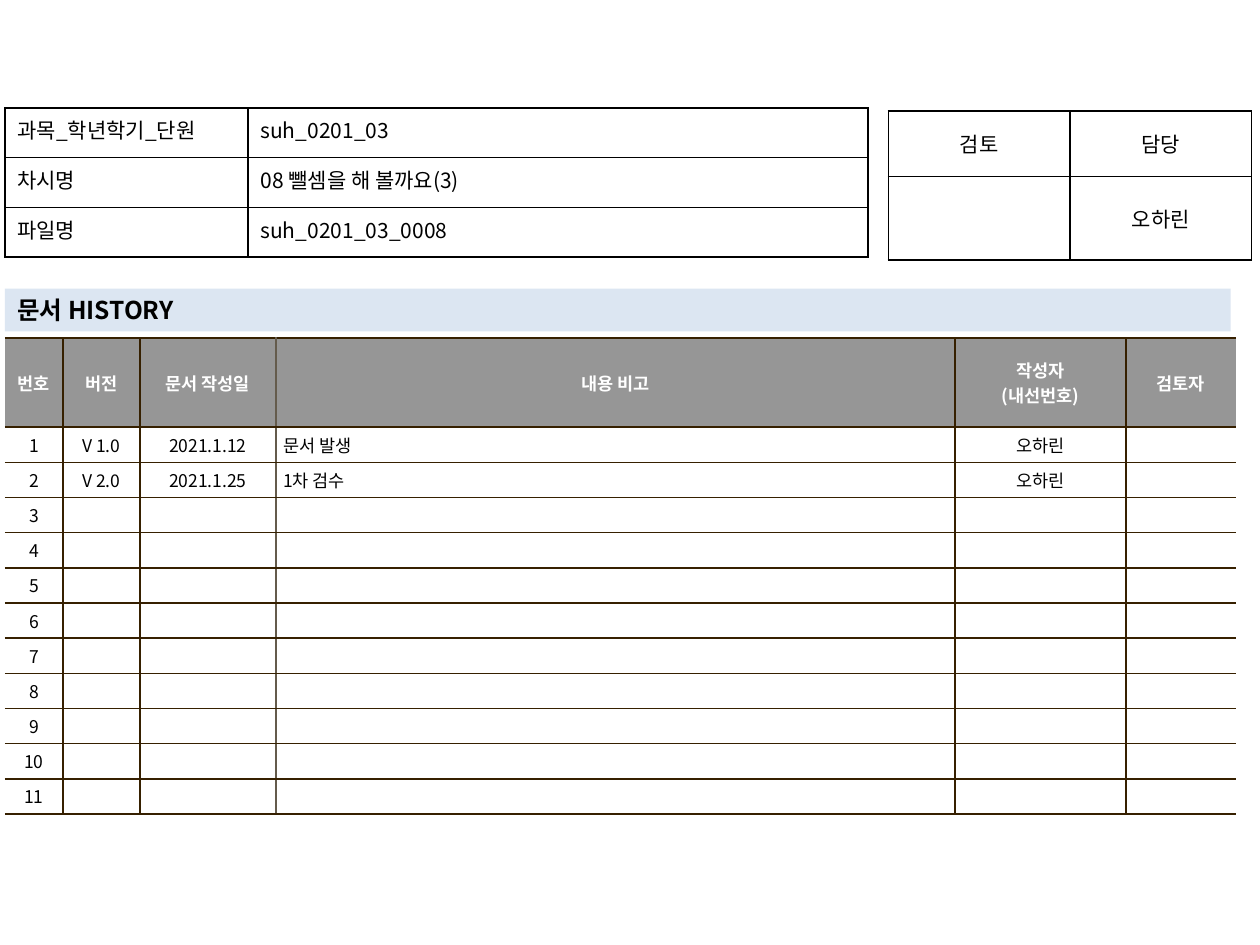
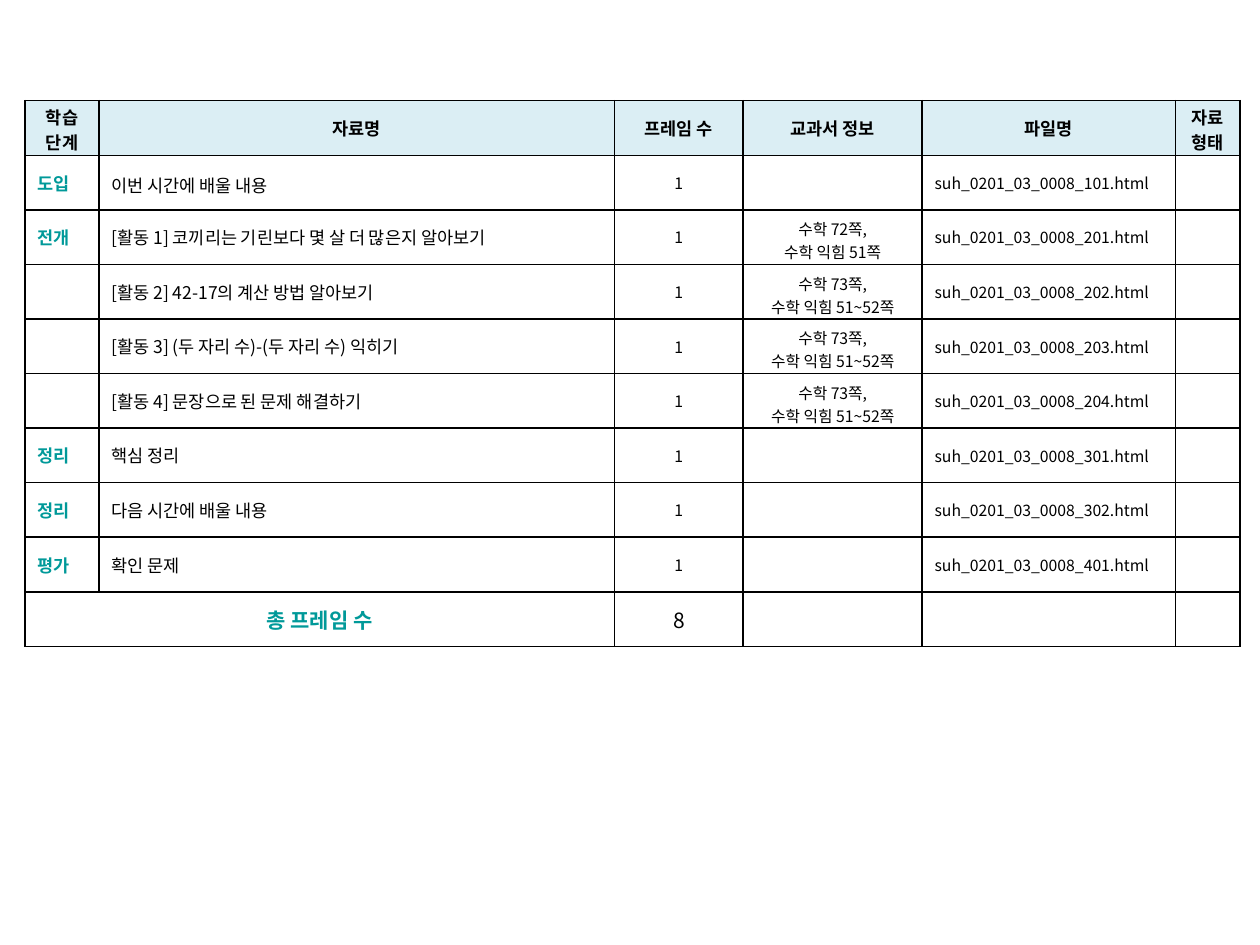
from dataclasses import dataclass
from typing import Optional

from lxml.etree import SubElement
from pptx import Presentation
from pptx.dml.color import RGBColor
from pptx.enum.shapes import MSO_SHAPE
from pptx.enum.text import MSO_ANCHOR, PP_ALIGN
from pptx.oxml.ns import qn
from pptx.util import Cm, Pt

FONT = "Noto Sans CJK KR"
COLORS = {
    "black": "000000",
    "white": "FFFFFF",
    "teal": "009999",
    "heading band": "DCE6F2",
    "history header": "969696",
    "history line": "362000",
    "history soft line": "645B4C",
    "contents header": "DBEEF4",
}
LEFT, CENTER, JUSTIFY = PP_ALIGN.LEFT, PP_ALIGN.CENTER, PP_ALIGN.JUSTIFY


@dataclass(frozen=True)
class CellStyle:
    size: float = 12
    color: str = "black"
    bold: bool = False
    align: PP_ALIGN = CENTER
    fill: Optional[str] = None
    line_spacing: Optional[float] = None
    # Inner margins in centimetres: side, top, bottom
    margins: tuple[float, float, float] = (0.25, 0.13, 0.13)
    anchor: MSO_ANCHOR = MSO_ANCHOR.MIDDLE


@dataclass(frozen=True)
class TableBox:
    left: float
    top: float
    columns: list[float]
    rows: list[float]
    line: str = "black"
    open_sides: bool = False
    soft_line_after: Optional[int] = None


def rgb(name: str) -> RGBColor:
    return RGBColor.from_string(COLORS[name])


def write_text(text_frame, text: str, *, size: float, color: str = "black",
               bold: bool = False, align: PP_ALIGN = LEFT,
               line_spacing: Optional[float] = None) -> None:
    """Write one paragraph for each line of the text."""
    for index, line in enumerate(text.split("\n")):
        paragraph = text_frame.paragraphs[0] if index == 0 else text_frame.add_paragraph()
        paragraph.alignment = align
        if line_spacing:
            paragraph.line_spacing = line_spacing
        if not line:
            # An empty cell must not be taller than its neighbours
            paragraph._p.get_or_add_endParaRPr().set("sz", str(int(size * 100)))
            continue
        run = paragraph.add_run()
        run.text = line
        run.font.size = Pt(size)
        run.font.bold = bold
        run.font.color.rgb = rgb(color)
        run.font.name = FONT
        SubElement(run.font._element, qn("a:ea"), typeface=FONT)


def set_borders(cell, sides: dict[str, Optional[str]]) -> None:
    properties = cell._tc.get_or_add_tcPr()
    for side, color in sides.items():
        line = SubElement(properties, qn(f"a:ln{side}"), w=str(Pt(1)))
        if color is None:
            SubElement(line, qn("a:noFill"))
        else:
            fill = SubElement(line, qn("a:solidFill"))
            SubElement(fill, qn("a:srgbClr"), val=COLORS[color])


def draw_table(slide, box: TableBox, texts: list[list[str]],
               styles: list[list[CellStyle]]):
    row_count, column_count = len(box.rows), len(box.columns)
    table = slide.shapes.add_table(
        row_count, column_count, Cm(box.left), Cm(box.top),
        Cm(sum(box.columns)), Cm(sum(box.rows))).table
    table.first_row = table.horz_banding = False
    for column, width in zip(table.columns, box.columns):
        column.width = Cm(width)
    for row, height in zip(table.rows, box.rows):
        row.height = Cm(height)

    # Colours of the vertical lines, from left edge to right edge
    verticals: list[Optional[str]] = [box.line] * (column_count + 1)
    if box.open_sides:
        verticals[0] = verticals[-1] = None
    if box.soft_line_after:
        verticals[box.soft_line_after] = "history soft line"

    for row_index, (row_texts, row_styles) in enumerate(zip(texts, styles)):
        for column_index, (text, style) in enumerate(zip(row_texts, row_styles)):
            cell = table.cell(row_index, column_index)
            set_borders(cell, {"L": verticals[column_index],
                               "R": verticals[column_index + 1],
                               "T": box.line, "B": box.line})
            if style.fill:
                cell.fill.solid()
                cell.fill.fore_color.rgb = rgb(style.fill)
            else:
                cell.fill.background()
            side, top, bottom = style.margins
            cell.margin_left = cell.margin_right = Cm(side)
            cell.margin_top, cell.margin_bottom = Cm(top), Cm(bottom)
            cell.vertical_anchor = style.anchor
            write_text(cell.text_frame, text, size=style.size, color=style.color,
                       bold=style.bold, align=style.align,
                       line_spacing=style.line_spacing)
    return table


def draw_heading(slide, text: str) -> None:
    shape = slide.shapes.add_shape(MSO_SHAPE.RECTANGLE, Cm(0.1), Cm(5.82),
                                   Cm(24.71), Cm(0.86))
    shape.shadow.inherit = False
    shape.fill.solid()
    shape.fill.fore_color.rgb = rgb("heading band")
    shape.line.fill.background()
    shape.text_frame.word_wrap = True
    shape.text_frame.vertical_anchor = MSO_ANCHOR.MIDDLE
    write_text(shape.text_frame, text, size=14, bold=True)


def build_history_slide(slide) -> None:
    # Change log
    tight = (0.15, 0.1, 0.1)
    header = CellStyle(10, "white", True, fill="history header", margins=tight)
    body = CellStyle(10, fill="white", margins=tight)
    note = CellStyle(10, align=LEFT, fill="white", margins=tight)
    entries = [["V 1.0", "2021.1.12", "문서 발생", "오하린", ""],
               ["V 2.0", "2021.1.25", "1차 검수", "오하린", ""]]
    entry_count = 11
    entries += [[""] * 5] * (entry_count - len(entries))
    texts = [["번호", "버전", "문서 작성일", "내용 비고", "작성자\n(내선번호)", "검토자"]]
    texts += [[str(number), *entry] for number, entry in enumerate(entries, 1)]
    draw_table(
        slide,
        TableBox(0.1, 6.81, [1.17, 1.55, 2.74, 13.69, 3.45, 2.21],
                 [1.8] + [0.63] * entry_count, "history line",
                 open_sides=True, soft_line_after=3),
        texts,
        [[header] * 6] + [[body] * 3 + [note] + [body] * 2] * entry_count)

    # Sign-off
    draw_table(slide, TableBox(17.91, 2.24, [3.66] * 2, [1.32, 1.68]),
               [["검토", "담당"], ["", "오하린"]], [[CellStyle()] * 2] * 2)

    draw_heading(slide, "문서 HISTORY")

    # Lesson details
    label = CellStyle(align=JUSTIFY, anchor=MSO_ANCHOR.TOP)
    value = CellStyle(align=LEFT, anchor=MSO_ANCHOR.TOP)
    draw_table(slide, TableBox(0.1, 2.18, [4.9, 12.5], [1] * 3),
               [["과목_학년학기_단원", "suh_0201_03"],
                ["차시명", "08 뺄셈을 해 볼까요(3)"],
                ["파일명", "suh_0201_03_0008"]],
               [[label, value]] * 3)


def build_contents_slide(slide) -> None:
    lessons = [
        ("도입", "이번 시간에 배울 내용", "", "101"),
        ("전개", "[활동 1] 코끼리는 기린보다 몇 살 더 많은지 알아보기",
         "수학 72쪽,\n수학 익힘 51쪽", "201"),
        ("", "[활동 2] 42-17의 계산 방법 알아보기",
         "수학 73쪽,\n수학 익힘 51~52쪽", "202"),
        ("", "[활동 3] (두 자리 수)-(두 자리 수) 익히기",
         "수학 73쪽,\n수학 익힘 51~52쪽", "203"),
        ("", "[활동 4] 문장으로 된 문제 해결하기",
         "수학 73쪽,\n수학 익힘 51~52쪽", "204"),
        ("정리", "핵심 정리", "", "301"),
        ("정리", "다음 시간에 배울 내용", "", "302"),
        ("평가", "확인 문제", "", "401"),
    ]
    texts = [["학습 단계", "자료명", "프레임 수", "교과서 정보", "파일명", "자료\n형태"]]
    texts += [[stage, title, "1", pages, f"suh_0201_03_0008_{number}.html", ""]
              for stage, title, pages, number in lessons]
    texts.append(["총 프레임 수", "", str(len(lessons)), "", "", ""])

    # Cells with two lines have a smaller margin so that rows stay equal
    header = CellStyle(10, bold=True, fill="contents header")
    tall_header = CellStyle(10, bold=True, fill="contents header",
                            margins=(0.25, 0.06, 0))
    stage_style = CellStyle(10, "teal", True, JUSTIFY)
    title_style = CellStyle(10, align=LEFT)
    first_title = CellStyle(10, align=JUSTIFY, line_spacing=1.2)
    count = CellStyle(9)
    pages_style = CellStyle(9, margins=(0.25, 0.13, 0))
    file_style = CellStyle(9, align=LEFT)
    total = CellStyle(12, "teal", True)

    styles = [[tall_header] + [header] * 4 + [tall_header]]
    styles += [[stage_style, title_style, count, pages_style, file_style, count]
               for _ in lessons]
    styles[1][1] = first_title
    styles.append([total] + [CellStyle()] * 5)

    table = draw_table(
        slide,
        TableBox(0.5, 2.03, [1.5, 10.39, 2.59, 3.61, 5.11, 1.3], [1.1] * len(texts)),
        texts, styles)
    last_row = len(texts) - 1
    table.cell(last_row, 0).merge(table.cell(last_row, 1))


def main() -> None:
    presentation = Presentation()
    presentation.slide_width, presentation.slide_height = Cm(25.4), Cm(19.05)
    blank_layout = presentation.slide_layouts[6]
    for build_slide in (build_history_slide, build_contents_slide):
        build_slide(presentation.slides.add_slide(blank_layout))
    presentation.save("out.pptx")


if __name__ == "__main__":
    main()
